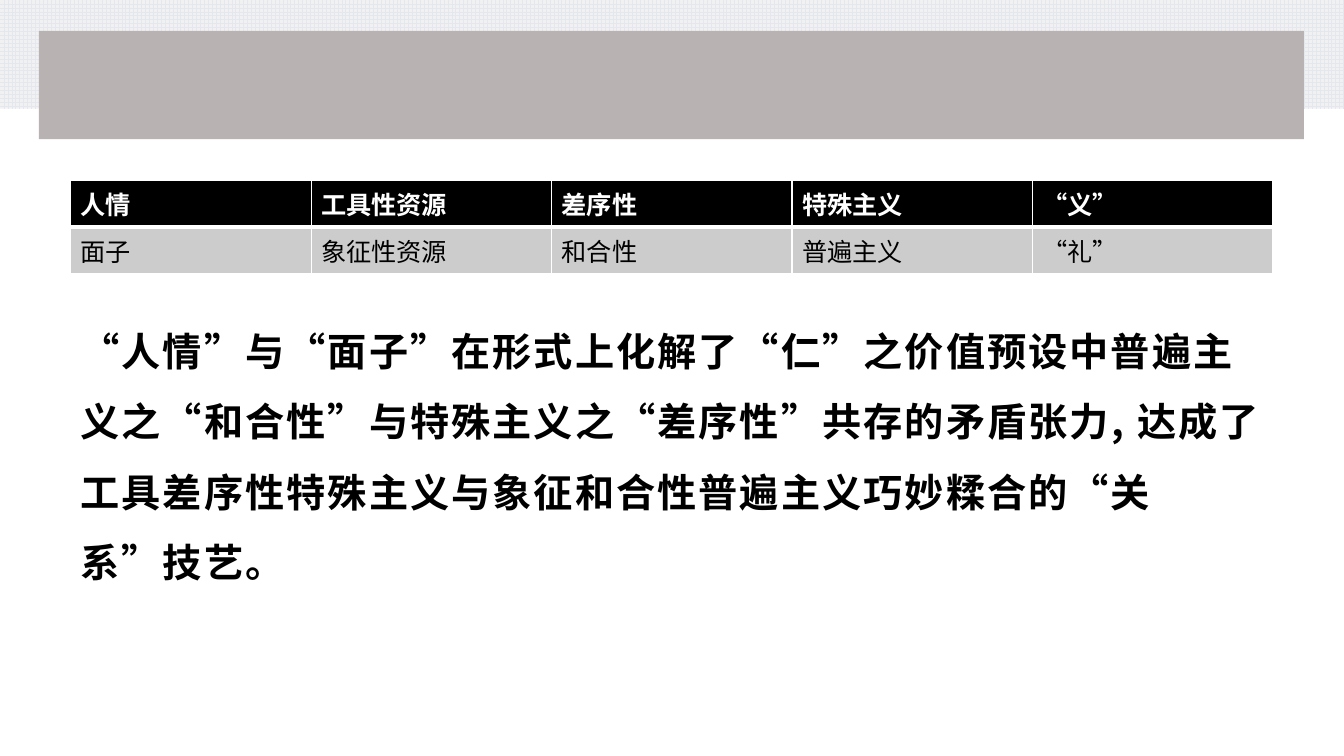
"""Build the slide that compares renqing with mianzi."""
import dataclasses

import lxml.etree
import pptx
import pptx.dml.color
import pptx.enum.dml
import pptx.enum.shapes
import pptx.oxml.ns
import pptx.util

Cm = pptx.util.Cm
Pt = pptx.util.Pt
qn = pptx.oxml.ns.qn
FONT = "Noto Sans CJK JP"
WHITE, BLACK = "FFFFFF", "000000"


@dataclasses.dataclass(frozen=True)
class Band:
    """A rectangle of the heading, in centimetres."""
    left: float
    top: float
    width: float
    height: float
    color: str
    grid_color: str = ""


@dataclasses.dataclass(frozen=True)
class Row:
    """A table row with its look and its border widths in points."""
    texts: tuple[str, ...]
    fill: str
    color: str
    bold: bool
    top: float
    bottom: float


BANDS = (
    Band(0, 0, 33.87, 2.74, "F2F1F1", grid_color="E4E8EE"),
    Band(0.98, 0.78, 31.88, 2.73, "B8B2B2"),
)
ROWS = (
    Row(("人情", "工具性资源", "差序性", "特殊主义", "“义”"), BLACK, WHITE, True, 1, 3),
    Row(("面子", "象征性资源", "和合性", "普遍主义", "“礼”"), "CCCCCC", BLACK, False, 3, 1),
)
STATEMENT = (
    "“人情”与“面子”在形式上化解了“仁”之价值预设中普遍主义之“和合性”"
    "与特殊主义之“差序性”共存的矛盾张力, 达成了工具差序性特殊主义与"
    "象征和合性普遍主义巧妙糅合的“关系”技艺。"
)
LEFT, WIDTH = 1.78, 30.3
TABLE_TOP, ROW_HEIGHT = 4.55, 1.17
STATEMENT_TOP, STATEMENT_HEIGHT = 7.52, 9.65


def rgb(color: str) -> pptx.dml.color.RGBColor:
    """Turn a hex string into a colour."""
    return pptx.dml.color.RGBColor.from_string(color)


def add_span(para, text: str, size: float, color: str, bold: bool, spacing: float = 0) -> None:
    """Add one run of Chinese text to a paragraph."""
    span = para.add_run()
    span.text = text
    span.font.name = FONT
    span.font.size = Pt(size)
    span.font.bold = bold
    span.font.color.rgb = rgb(color)
    properties = span._r.get_or_add_rPr()
    properties.set("lang", "zh-CN")
    if spacing:
        properties.set("spc", str(round(spacing * 100)))
    lxml.etree.SubElement(properties, qn("a:ea"), typeface=FONT)


def add_band(page, band: Band) -> None:
    """Draw a plain or gridded rectangle."""
    box = page.shapes.add_shape(
        pptx.enum.shapes.MSO_SHAPE.RECTANGLE,
        Cm(band.left), Cm(band.top), Cm(band.width), Cm(band.height))
    box.shadow.inherit = False
    box.line.fill.background()
    if band.grid_color:
        box.fill.patterned()
        box.fill.pattern = pptx.enum.dml.MSO_PATTERN.LARGE_GRID
        box.fill.fore_color.rgb = rgb(band.grid_color)
        box.fill.back_color.rgb = rgb(band.color)
    else:
        box.fill.solid()
        box.fill.fore_color.rgb = rgb(band.color)


def add_borders(cell, row: Row) -> None:
    """Give a cell its white borders."""
    properties = cell._tc.get_or_add_tcPr()
    for side, width in (("L", 1), ("R", 1), ("T", row.top), ("B", row.bottom)):
        line = lxml.etree.SubElement(properties, qn(f"a:ln{side}"), w=str(Pt(width)))
        fill = lxml.etree.SubElement(line, qn("a:solidFill"))
        lxml.etree.SubElement(fill, qn("a:srgbClr"), val=WHITE)


def add_comparison(page) -> None:
    """Draw the comparison table with equal columns."""
    columns = len(ROWS[0].texts)
    table = page.shapes.add_table(
        len(ROWS), columns, Cm(LEFT), Cm(TABLE_TOP),
        Cm(WIDTH), Cm(ROW_HEIGHT * len(ROWS))).table
    for row_index, row in enumerate(ROWS):
        for column_index, text in enumerate(row.texts):
            cell = table.cell(row_index, column_index)
            add_borders(cell, row)
            cell.fill.solid()
            cell.fill.fore_color.rgb = rgb(row.fill)
            add_span(cell.text_frame.paragraphs[0], text, 18, row.color, row.bold)


def add_statement(page) -> None:
    """Write the statement below the table."""
    box = page.shapes.add_textbox(
        Cm(LEFT), Cm(STATEMENT_TOP), Cm(WIDTH), Cm(STATEMENT_HEIGHT))
    box.text_frame.word_wrap = True
    para = box.text_frame.paragraphs[0]
    para.line_spacing = 1.5
    para.space_before = Pt(15)
    add_span(para, STATEMENT, 28, BLACK, True, spacing=1.5)


def main() -> None:
    """Build and save the deck."""
    deck = pptx.Presentation()
    deck.slide_width, deck.slide_height = Cm(33.87), Cm(19.05)
    page = deck.slides.add_slide(deck.slide_layouts[6])
    page.background.fill.solid()
    page.background.fill.fore_color.rgb = rgb(WHITE)
    for band in BANDS:
        add_band(page, band)
    add_statement(page)
    add_comparison(page)
    deck.save("out.pptx")


main()
